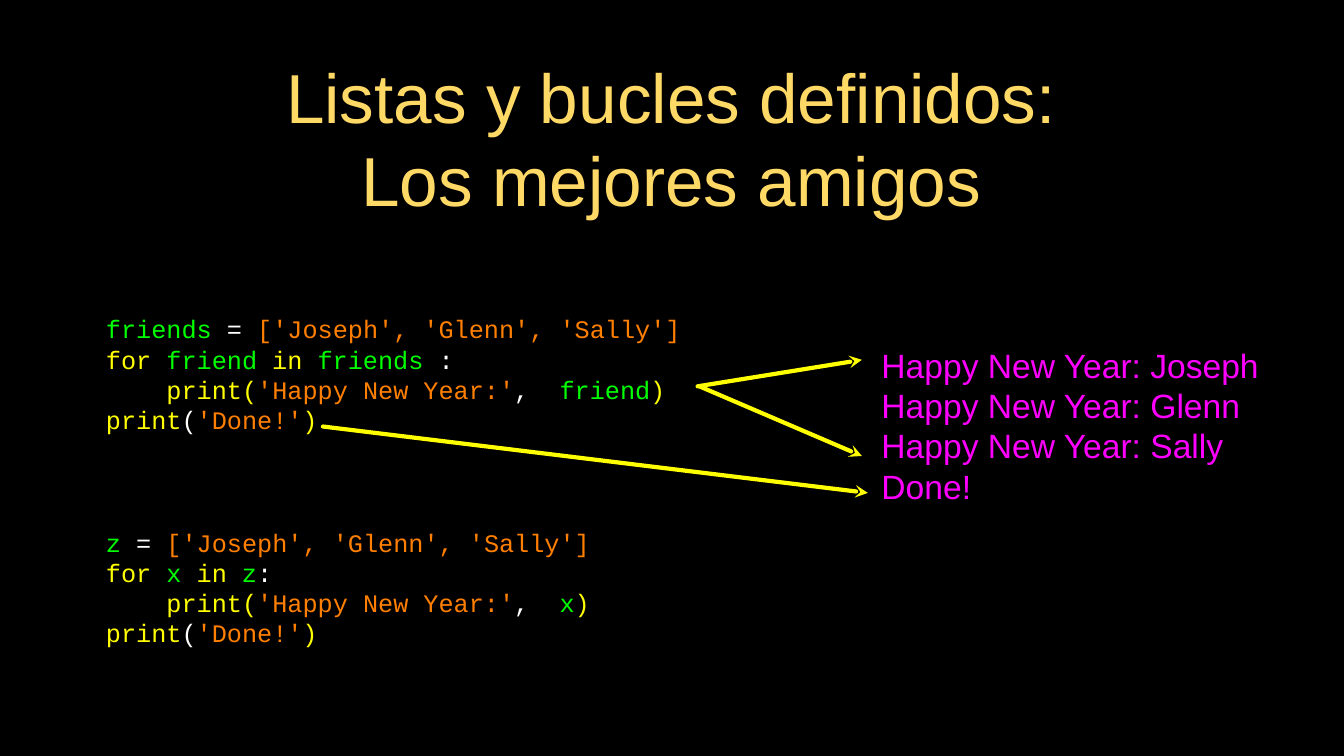
from lxml.etree import SubElement
from pptx import Presentation
from pptx.dml.color import RGBColor
from pptx.enum.shapes import MSO_CONNECTOR as Connector
from pptx.enum.text import MSO_ANCHOR as Anchor, MSO_AUTO_SIZE as AutoSize, PP_ALIGN as Align
from pptx.oxml.ns import qn
from pptx.util import Cm, Pt

BLACK, WHITE = "000000", "FFFFFF"
GOLD, MAGENTA = "FFD966", "FF00FF"
KEYWORD, VARIABLE, LITERAL = "FFFF00", "00FF00", "FF7F00"
LINE_PITCH = 1.2  # line height relative to font size


def color(hex_code):
    return RGBColor.from_string(hex_code)


def place(shape, left, top, width, height):
    shape.left, shape.top = Cm(left), Cm(top)
    shape.width, shape.height = Cm(width), Cm(height)


def set_frame(frame, inset=0):
    frame.word_wrap = True
    frame.auto_size = AutoSize.NONE
    frame.vertical_anchor = Anchor.MIDDLE
    frame.margin_left = frame.margin_right = Cm(inset)
    frame.margin_top = frame.margin_bottom = Cm(inset)


def style_paragraph(paragraph, font_name, size, align=Align.LEFT):
    paragraph.alignment = align
    paragraph.line_spacing = Pt(LINE_PITCH * size)
    paragraph.font.name = font_name
    paragraph.font.size = Pt(size)


def add_title(slide, text):
    title = slide.shapes.title
    place(title, 3.2, 2.18, 38.71, 4.85)
    set_frame(title.text_frame, 0.1)
    title.text_frame.text = text
    heading = title.text_frame.paragraphs[0]
    style_paragraph(heading, "Arial", 66, Align.CENTER)
    heading.font.color.rgb = color(GOLD)


def add_lines(slide, box, lines, font_name, size):
    """Add a text box; each line is a list of (text, colour) pieces."""
    frame = slide.shapes.add_textbox(*map(Cm, box)).text_frame
    set_frame(frame)
    for number, pieces in enumerate(lines):
        paragraph = frame.add_paragraph() if number else frame.paragraphs[0]
        style_paragraph(paragraph, font_name, size)
        for text, hex_code in pieces:
            run = paragraph.add_run()
            run.text = text
            run.font.color.rgb = color(hex_code)


def loop_code(names, item, colon):
    """Coloured lines of a for loop that greets each item of a list."""
    return [
        [(names, VARIABLE), (" = ", WHITE), ("['Joseph', 'Glenn', 'Sally']", LITERAL)],
        [("for ", KEYWORD), (item, VARIABLE), (" in ", KEYWORD),
         (names, VARIABLE), (colon, WHITE)],
        [("    print(", KEYWORD), ("'Happy New Year:'", LITERAL), (",  ", WHITE),
         (item, VARIABLE), (")", KEYWORD)],
        [("print", KEYWORD), ("(", WHITE), ("'Done!'", LITERAL), (")", KEYWORD)],
    ]


def add_arrow(slide, start, end):
    """Add an arrow from a line of code to its output."""
    arrow = slide.shapes.add_connector(Connector.STRAIGHT, *map(Cm, start + end))
    arrow.line.color.rgb = color(KEYWORD)
    arrow.line.width = Pt(4)
    properties = arrow.line._get_or_add_ln()
    properties.set("cap", "rnd")
    SubElement(properties, qn("a:round"))
    SubElement(properties, qn("a:tailEnd"), type="stealth")
    SubElement(arrow._element.spPr, qn("a:effectLst"))


def main():
    deck = Presentation()
    deck.slide_width, deck.slide_height = Cm(45.16), Cm(25.4)
    slide = deck.slides.add_slide(deck.slide_layouts[5])
    slide.background.fill.solid()
    slide.background.fill.fore_color.rgb = color(BLACK)

    add_title(slide, "Listas y bucles definidos:\vLos mejores amigos")

    # Same loop twice, with descriptive and with short names
    for top, names, item, colon in ((9.5, "friends", "friend", " :"),
                                    (16.66, "z", "x", ":")):
        add_lines(slide, (3.56, top, 20.22, 6.15),
                  loop_code(names, item, colon), "Courier New", 24)

    # Printed output
    output = [f"Happy New Year: {name}" for name in ("Joseph", "Glenn", "Sally")]
    output.append("Done!")
    add_lines(slide, (29.62, 11.25, 13.74, 6.07),
              [[(line, MAGENTA)] for line in output], "Arial", 32)

    # Code lines to the output they print
    for start, end in (((23.44, 12.98), (28.96, 12.09)),
                       ((23.5, 12.98), (28.96, 15.32)),
                       ((10.85, 14.33), (29.16, 16.56))):
        add_arrow(slide, start, end)

    deck.save("out.pptx")


if __name__ == "__main__":
    main()
